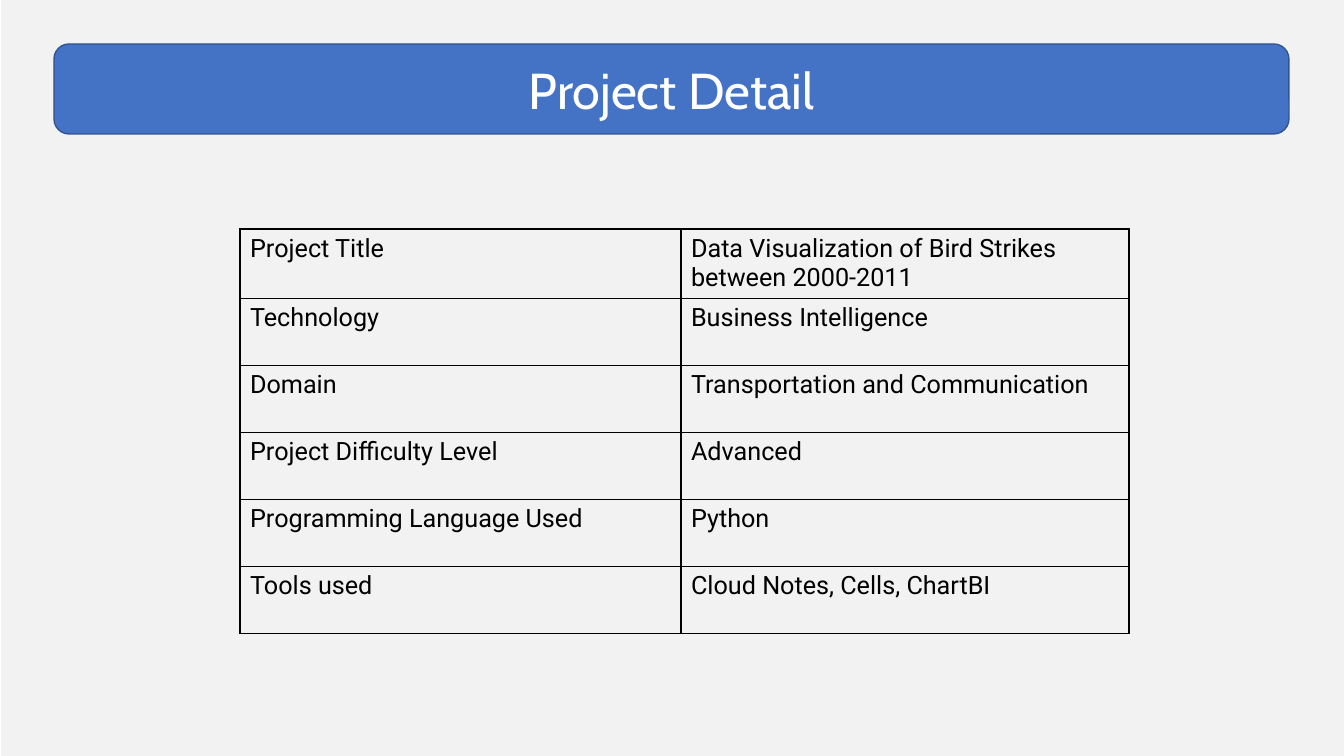
from dataclasses import dataclass

from lxml import etree
from pptx import Presentation
from pptx.dml.color import RGBColor
from pptx.enum.dml import MSO_PATTERN
from pptx.enum.shapes import MSO_SHAPE
from pptx.enum.text import MSO_ANCHOR, PP_ALIGN
from pptx.oxml.ns import qn
from pptx.util import Pt

STRIPES = MSO_PATTERN.DARK_VERTICAL
ROUNDED = MSO_SHAPE.ROUNDED_RECTANGLE
MIDDLE = MSO_ANCHOR.MIDDLE
CENTER = PP_ALIGN.CENTER

SCALE = 914400 / 100.8

DETAILS = [
    ("Project Title", "Data Visualization of Bird Strikes between 2000-2011"),
    ("Technology", "Business Intelligence"),
    ("Domain", "Transportation and Communication"),
    ("Project Difficulty Level", "Advanced"),
    ("Programming Language Used", "Python"),
    ("Tools used", "Cloud Notes, Cells, ChartBI"),
]
COLS = [441, 448]
ROWS = [69] + [67] * 5


@dataclass(frozen=True)
class Theme:
    page: str = "F2F2F2"
    white: str = "FFFFFF"
    blue: str = "4472C4"
    edge: str = "325491"
    ink: str = "000000"
    head_font: str = "Cabin"
    body_font: str = "Roboto"
    head_size: int = 36
    body_size: int = 18
    rule: int = 1


THEME = Theme()


def px(n):
    return round(n * SCALE)


def rgb(code):
    return RGBColor.from_string(code)


def style(frame, font, size, color):
    """Format every run of a text frame."""
    for para in frame.paragraphs:
        for run in para.runs:
            run.font.name = font
            run.font.size = Pt(size)
            run.font.color.rgb = rgb(color)


def paint(slide):
    fill = slide.background.fill
    fill.patterned()
    fill.pattern = STRIPES
    fill.fore_color.rgb = rgb(THEME.page)
    fill.back_color.rgb = rgb(THEME.white)


def banner(slide, text, box):
    shape = slide.shapes.add_shape(ROUNDED, *map(px, box))
    shape.shadow.inherit = False
    shape.fill.solid()
    shape.fill.fore_color.rgb = rgb(THEME.blue)
    shape.line.color.rgb = rgb(THEME.edge)
    shape.line.width = Pt(THEME.rule)
    frame = shape.text_frame
    frame.text = text
    frame.vertical_anchor = MIDDLE
    frame.paragraphs[0].alignment = CENTER
    style(frame, THEME.head_font, THEME.head_size, THEME.white)


def border(cell):
    """Rule all four sides; the lines must precede the cell's fill."""
    props = cell._tc.get_or_add_tcPr()
    for i, side in enumerate("LRTB"):
        line = etree.Element(qn("a:ln" + side), w=str(Pt(THEME.rule)))
        fill = etree.SubElement(line, qn("a:solidFill"))
        etree.SubElement(fill, qn("a:srgbClr"), val=THEME.ink)
        props.insert(i, line)


def grid(slide, data, left, top):
    size = (sum(COLS), sum(ROWS))
    frame = slide.shapes.add_table(
        len(ROWS), len(COLS), *map(px, (left, top, *size)))
    table = frame.table
    table.first_row = False
    table.horz_banding = False
    for col, width in zip(table.columns, COLS):
        col.width = px(width)
    for row, height, texts in zip(table.rows, ROWS, data):
        row.height = px(height)
        for cell, text in zip(row.cells, texts):
            cell.text_frame.text = text
            cell.fill.background()
            border(cell)
            style(cell.text_frame, THEME.body_font, THEME.body_size, THEME.ink)


def main():
    deck = Presentation()
    deck.slide_width = px(1344)
    deck.slide_height = px(756)
    slide = deck.slides.add_slide(deck.slide_layouts[6])
    paint(slide)
    banner(slide, "Project Detail", (54, 44, 1235, 90))
    grid(slide, DETAILS, 240, 229)
    deck.save("out.pptx")


if __name__ == "__main__":
    main()
